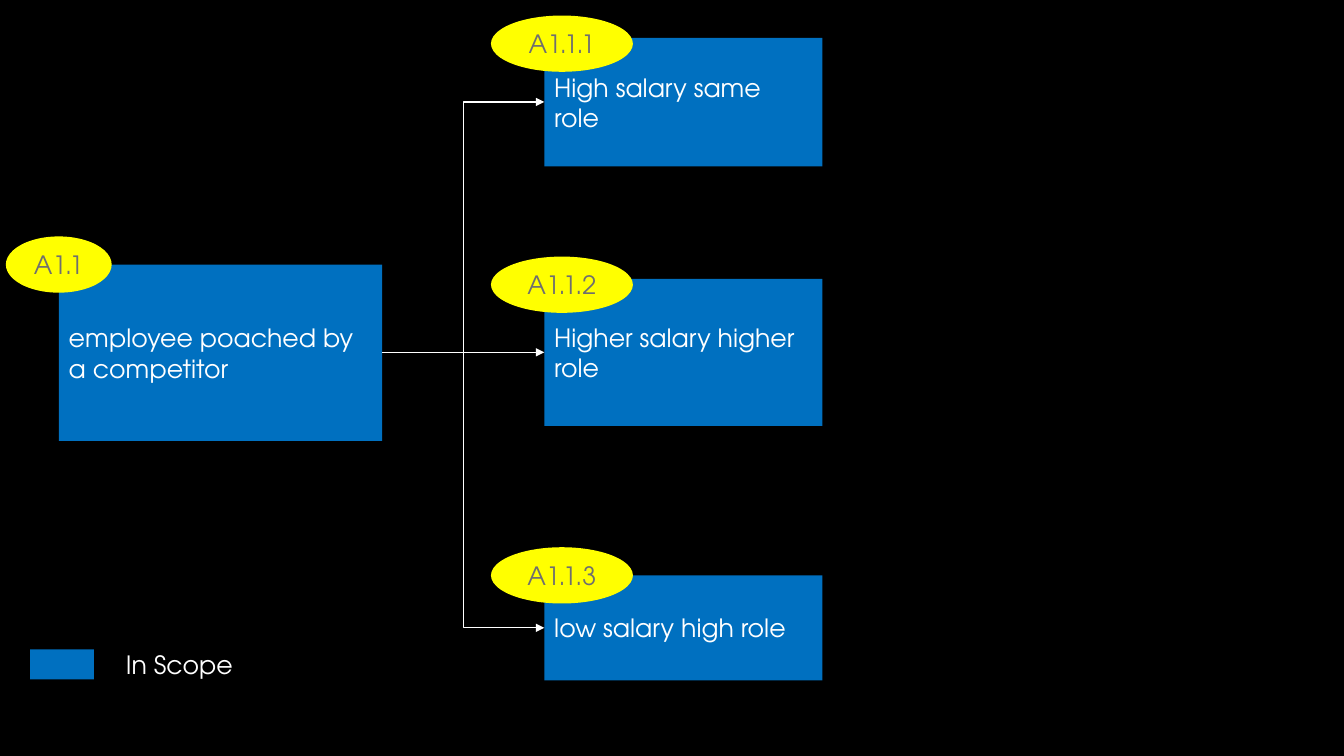
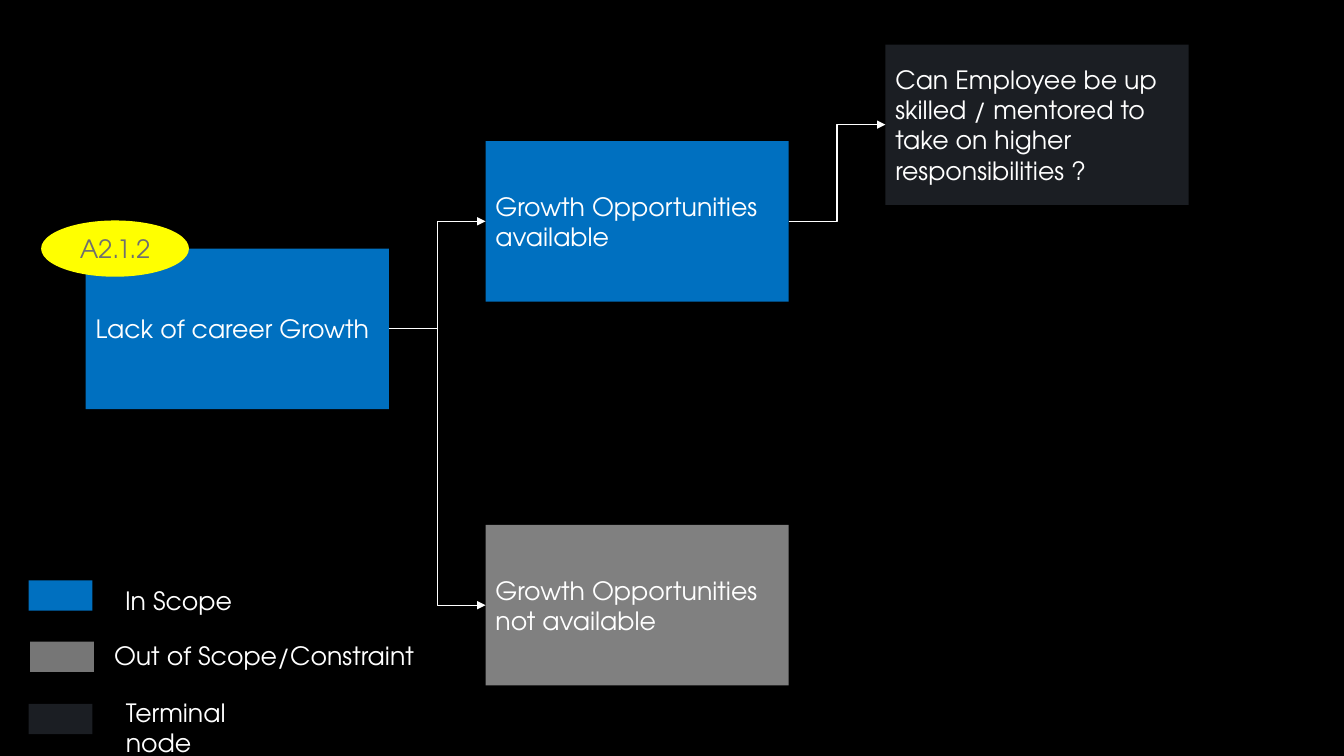
from lxml.etree import SubElement
from pptx import Presentation
from pptx.dml.color import RGBColor
from pptx.enum.shapes import MSO_CONNECTOR as Connector, MSO_SHAPE as Shape
from pptx.enum.text import MSO_ANCHOR as Anchor, PP_ALIGN as Align
from pptx.oxml.ns import qn
from pptx.util import Inches, Pt

COLS, ROWS = 160, 90
LEFT, RIGHT = 1, 3


def paint(color_format, value):
    color_format.rgb = RGBColor.from_string(value)


class Tree:
    font, size = "TeX Gyre Adventor", 18
    back, ink = "000000", "FFFFFF"
    scope, outside, terminal = "0070C0", "808080", "1B1E23"
    constraint = "767676"
    badge_fill, badge_ink, badge_height = "FFFF00", "6F6F6F", 6.7

    def __init__(self):
        self.prs = Presentation()
        self.prs.slide_width = Inches(13.33)
        self.prs.slide_height = Inches(7.5)
        fill = self.prs.slide_master.background.fill
        fill.solid()
        paint(fill.fore_color, self.back)

    def new_slide(self):
        self.s = self.prs.slides.add_slide(self.prs.slide_layouts[6])

    def grid(self, x, y, w, h):
        col = self.prs.slide_width / COLS
        row = self.prs.slide_height / ROWS
        return round(x * col), round(y * row), round(w * col), round(h * row)

    def set_text(self, sp, text, color, align=Align.LEFT, anchor=Anchor.MIDDLE):
        tf = sp.text_frame
        tf.text = text
        tf.word_wrap = True
        tf.vertical_anchor = anchor
        p = tf.paragraphs[0]
        p.alignment = align
        r = p.runs[0]
        r.font.name = self.font
        r.font.size = Pt(self.size)
        paint(r.font.color, color)

    def block(self, kind, fill, *cells):
        sp = self.s.shapes.add_shape(kind, *self.grid(*cells))
        sp.shadow.inherit = False
        sp.fill.solid()
        paint(sp.fill.fore_color, fill)
        sp.line.fill.background()
        return sp

    def node(self, text, x, y, w, h, fill=scope):
        sp = self.block(Shape.RECTANGLE, fill, x, y, w, h)
        self.set_text(sp, text, self.ink)
        return sp

    def badge(self, text, cx, cy, w):
        h = self.badge_height
        sp = self.block(Shape.OVAL, self.badge_fill, cx - w / 2, cy - h / 2, w, h)
        self.set_text(sp, text, self.badge_ink, Align.CENTER)

    def link(self, parent, child):
        line = self.s.shapes.add_connector(Connector.ELBOW, 0, 0, 0, 0)
        line.begin_connect(parent, RIGHT)
        line.end_connect(child, LEFT)
        line.line.width = Pt(0.75)
        paint(line.line.color, self.ink)
        props = line._element.spPr
        SubElement(props.find(qn("a:ln")), qn("a:tailEnd"), type="triangle")
        SubElement(props, qn("a:effectLst"))

    def swatch(self, x, y, fill=scope):
        self.block(Shape.RECTANGLE, fill, x, y, 7.6, 3.6)

    def label(self, text, x, y, w=20.2, h=4.8):
        sp = self.s.shapes.add_textbox(*self.grid(x, y, w, h))
        self.set_text(sp, text, self.ink, anchor=Anchor.TOP)


def poaching(tree):
    tree.new_slide()
    root = tree.node("employee poached by a competitor", 7, 31.5, 38.5, 21)
    tree.badge("A1.1", 7, 31.5, 12.6)
    offers = [
        ("A1.1.1", "High salary same role", 4.5, 15.3, 5.2),
        ("A1.1.2", "Higher salary higher role", 33.2, 17.5, 33.9),
        ("A1.1.3", "low salary high role", 68.5, 12.5, 68.5),
    ]
    for code, text, y, h, badge_y in offers:
        tree.link(root, tree.node(text, 64.8, y, 33.1, h))
        tree.badge(code, 66.9, badge_y, 16.9)
    tree.swatch(3.6, 77.3)
    tree.label("In Scope", 13.8, 76.7)


def career_growth(tree):
    tree.new_slide()
    w, h = 36.1, 19.1
    root_x, available_x, mentoring_x = (10.2 + 47.6 * i for i in range(3))
    root = tree.node("Lack of career Growth", root_x, 29.6, w, h)
    tree.badge("A2.1.2", 13.7, 29.6, 17.6)
    available = tree.node("Growth Opportunities available", available_x, 16.8, w, h)
    missing = tree.node("Growth Opportunities not available",
                        available_x, 62.5, w, h, tree.outside)
    mentoring = tree.node(
        "Can Employee be up skilled / mentored to take on higher responsibilities ?",
        mentoring_x, 5.3, w, h, tree.terminal)
    for parent, child in ((root, available), (root, missing), (available, mentoring)):
        tree.link(parent, child)
    tree.swatch(3.4, 69.1)
    tree.label("In Scope", 13.7, 69.1)
    tree.swatch(3.6, 76.4, tree.constraint)
    tree.label("Out of Scope/Constraint", 12.4, 75.6, w=51.8)
    tree.swatch(3.4, 83.8, tree.terminal)
    tree.label("Terminal node", 13.8, 82.4, h=8.5)


def main():
    tree = Tree()
    poaching(tree)
    career_growth(tree)
    tree.prs.save("out.pptx")


if __name__ == "__main__":
    main()
